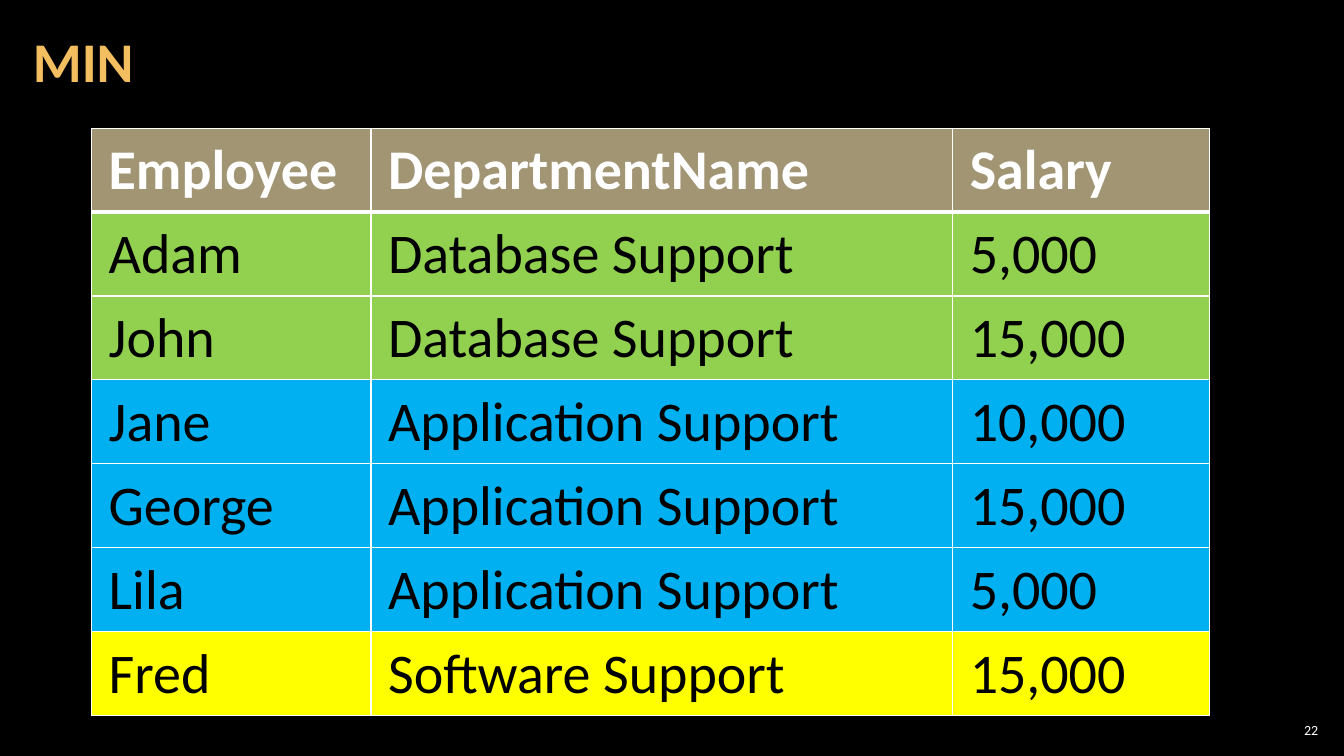
from dataclasses import dataclass

from lxml.etree import SubElement
from pptx import Presentation
from pptx.dml.color import RGBColor
from pptx.enum.text import MSO_ANCHOR, PP_ALIGN
from pptx.oxml.ns import qn
from pptx.util import Cm, Pt

WHITE, BLACK, GOLD = "FFFFFF", "000000", "F3BE60"
TAN, GREEN, BLUE, YELLOW = "A19574", "92D050", "00B0F0", "FFFF00"
COLUMN_WIDTHS = (7.04, 14.66, 6.48)
ROW_HEIGHT = 2.11


@dataclass(frozen=True)
class Row:
    texts: tuple[str, str, str]
    fill: str
    header: bool = False


ROWS = [
    Row(("Employee", "DepartmentName", "Salary"), TAN, header=True),
    Row(("Adam", "Database Support", "5,000"), GREEN),
    Row(("John", "Database Support", "15,000"), GREEN),
    Row(("Jane", "Application Support", "10,000"), BLUE),
    Row(("George", "Application Support", "15,000"), BLUE),
    Row(("Lila", "Application Support", "5,000"), BLUE),
    Row(("Fred", "Software Support", "15,000"), YELLOW),
]


def rgb(color: str) -> RGBColor:
    return RGBColor.from_string(color)


def write(tf, text: str, *, size: float = 40, color: str = BLACK,
          bold: bool = False, align=PP_ALIGN.LEFT, spacing: float = 1.0) -> None:
    p = tf.paragraphs[0]
    p.alignment, p.line_spacing = align, spacing
    r = p.add_run()
    r.text = text
    r.font.name, r.font.size, r.font.bold = "Calibri", Pt(size), bold
    r.font.color.rgb = rgb(color)


def add_text(slide, box: tuple[float, ...], text: str, *, inset: float, **fmt) -> None:
    tf = slide.shapes.add_textbox(*map(Cm, box)).text_frame
    tf.word_wrap = True
    tf.vertical_anchor = MSO_ANCHOR.MIDDLE
    tf.margin_left = tf.margin_right = Cm(inset)
    tf.margin_top = tf.margin_bottom = Cm(0.1)
    write(tf, text, **fmt)


def add_borders(cell, top: float, bottom: float) -> None:
    tc_pr = cell._tc.get_or_add_tcPr()
    for side, width in (("L", 1), ("R", 1), ("T", top), ("B", bottom)):
        ln = SubElement(tc_pr, qn(f"a:ln{side}"), w=str(Pt(width)))
        SubElement(SubElement(ln, qn("a:solidFill")), qn("a:srgbClr"), val=WHITE)


def add_salary_table(slide, left: float, top: float) -> None:
    table = slide.shapes.add_table(
        len(ROWS), len(COLUMN_WIDTHS), Cm(left), Cm(top),
        Cm(sum(COLUMN_WIDTHS)), Cm(ROW_HEIGHT * len(ROWS))).table
    for column, width in zip(table.columns, COLUMN_WIDTHS):
        column.width = Cm(width)
    for i, row in enumerate(ROWS):
        table.rows[i].height = Cm(ROW_HEIGHT)
        below_header = i > 0 and ROWS[i - 1].header
        for j, text in enumerate(row.texts):
            cell = table.cell(i, j)
            cell.margin_left = cell.margin_right = Cm(0.43)
            cell.margin_top = cell.margin_bottom = Cm(0.21)
            add_borders(cell, 3 if below_header else 1, 3 if row.header else 1)
            cell.fill.solid()
            cell.fill.fore_color.rgb = rgb(row.fill)
            write(cell.text_frame, text, bold=row.header,
                  color=WHITE if row.header else BLACK)


def main() -> None:
    prs = Presentation()
    prs.slide_width, prs.slide_height = Cm(33.87), Cm(19.05)
    slide = prs.slides.add_slide(prs.slide_layouts[6])
    slide.background.fill.solid()
    slide.background.fill.fore_color.rgb = rgb(BLACK)

    add_text(slide, (32.13, 18.14, 1.19, 0.53), "22", inset=0.1,
             size=10, color=WHITE, align=PP_ALIGN.RIGHT)
    add_text(slide, (0.53, 0.1, 26.59, 3.07), "MIN", inset=0.3,
             color=GOLD, bold=True, spacing=0.9)
    add_salary_table(slide, 2.31, 3.23)
    prs.save("out.pptx")


if __name__ == "__main__":
    main()
